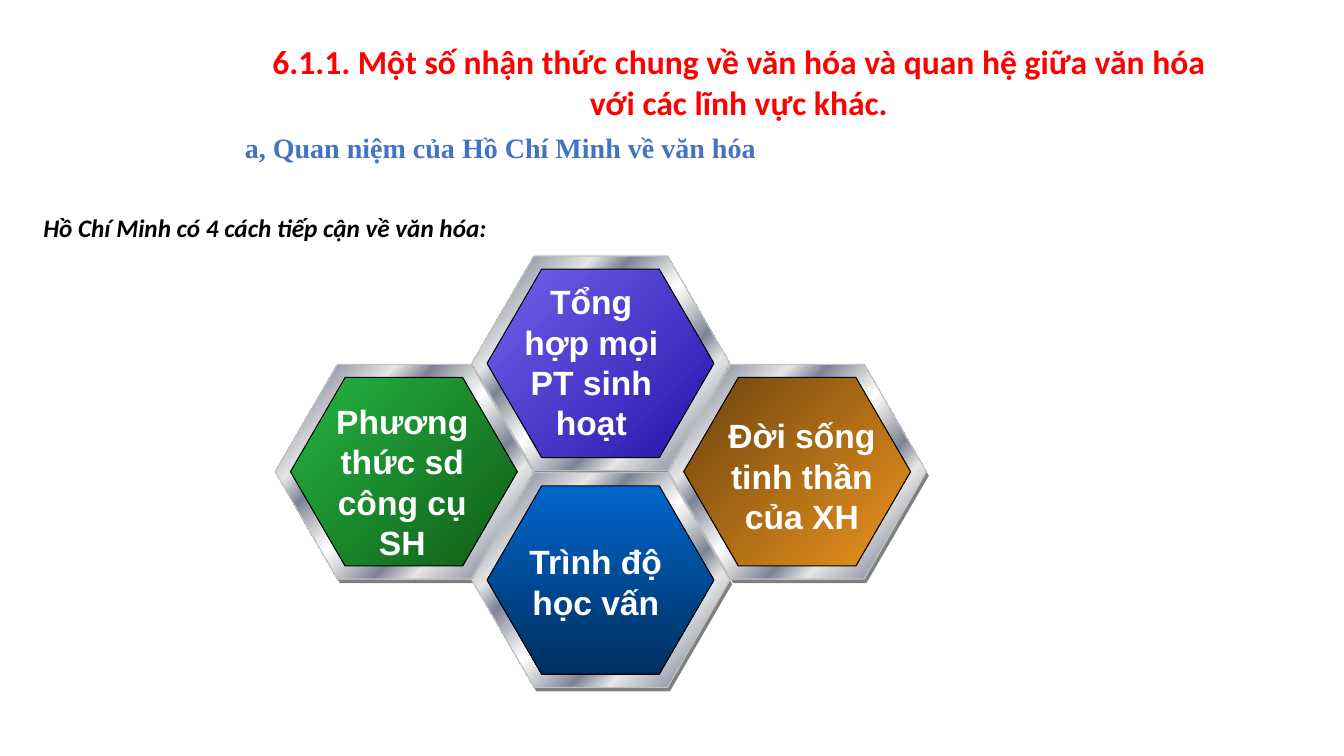
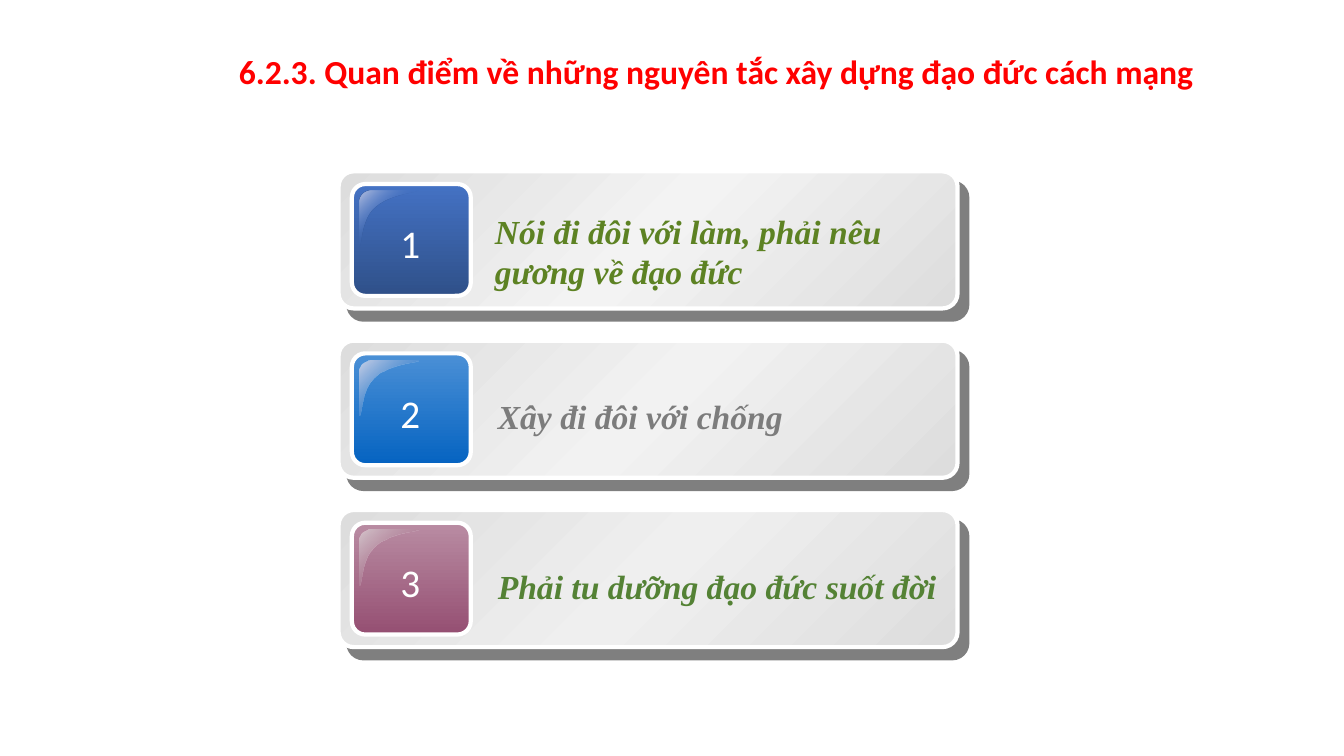
from dataclasses import dataclass

from pptx import Presentation
from pptx import util as u
from pptx.dml.color import RGBColor
from pptx.enum import shapes, text
from pptx.oxml.ns import qn
from lxml import etree


@dataclass(frozen=True)
class Theme:
    sans: str = "Calibri"
    serif: str = "Times New Roman"
    label: str = "Arial"
    red: str = "FF0000"
    blue: str = "4472C4"
    black: str = "000000"
    white: str = "FFFFFF"
    shade: str = "808080"
    rim: str = "C0C0C0"
    silver: str = "DDDDDD"
    heading: int = 24
    subheading: int = 20
    lead: int = 18
    number: int = 28


theme = Theme()
deck = Presentation()
deck.slide_width, deck.slide_height = u.Emu(12192000), u.Emu(6858000)
col, row = deck.slide_width / 100, deck.slide_height / 100


def draw(slide, outline, box, stops, angle=45, edge=None, adjust=None):
    x, y, w, h = [round(n * unit) for n, unit in zip(box, (col, row, col, row))]
    if isinstance(outline, list):
        points = [(round(x + px * w), round(y + py * h)) for px, py in outline]
        builder = slide.shapes.build_freeform(*points[0])
        builder.add_line_segments(points[1:], close=True)
        shape = builder.convert_to_shape()
    else:
        shape = slide.shapes.add_shape(outline, x, y, w, h)
        shape.adjustments[0] = adjust
    shape.shadow.inherit = False
    if len(stops) == 1:
        shape.fill.solid()
        shape.fill.fore_color.rgb = RGBColor.from_string(stops[0][1])
    else:
        shape.fill.gradient()
        gradient = shape.element.spPr.find(qn("a:gradFill"))
        for part in list(gradient):
            gradient.remove(part)
        ramp = etree.SubElement(gradient, qn("a:gsLst"))
        for position, color, *alpha in stops:
            stop = etree.SubElement(ramp, qn("a:gs"), pos=str(position * 1000))
            tone = etree.SubElement(stop, qn("a:srgbClr"), val=color)
            for share in alpha:
                etree.SubElement(tone, qn("a:alpha"), val=str(share * 1000))
        etree.SubElement(gradient, qn("a:lin"), ang=str(angle * 60000), scaled="0")
    if edge:
        shape.line.color.rgb = RGBColor.from_string(edge[0])
        shape.line.width = u.Pt(edge[1])
    else:
        shape.line.fill.background()
    return shape


def write(slide, box, words, font, size, color, bold=True, italic=False, center=False):
    x, y, w, h = [round(n * unit) for n, unit in zip(box, (col, row, col, row))]
    frame = slide.shapes.add_textbox(x, y, w, h).text_frame
    frame.word_wrap = True
    paragraph = frame.paragraphs[0]
    paragraph.text = words
    paragraph.alignment = text.PP_ALIGN.CENTER if center else text.PP_ALIGN.LEFT
    paragraph.font.name, paragraph.font.size = font, u.Pt(size)
    paragraph.font.bold, paragraph.font.italic = bold, italic
    paragraph.font.color.rgb = RGBColor.from_string(color)


blank = deck.slide_layouts[6]

culture = deck.slides.add_slide(blank)
write(culture, (2.48, 27.47, 35.78, 5.33), "Hồ Chí Minh có 4 cách tiếp cận về văn hóa:",
      theme.sans, theme.lead, theme.black, italic=True)
write(culture, (18.23, 4.8, 73.5, 12.13),
      "6.1.1. Một số nhận thức chung về văn hóa và quan hệ giữa văn hóa với các lĩnh vực khác.",
      theme.sans, theme.heading, theme.red, center=True)
write(culture, (17.48, 16.67, 41.25, 5.87), "a, Quan niệm của Hồ Chí Minh về văn hóa",
      theme.serif, theme.subheading, theme.blue)

light, steel = "E6E6E6", "7D8496"
metal = [(0, light), (8, steel), (26, light), (34, steel), (46, light), (50, theme.white),
         (54, light), (66, steel), (74, light), (92, steel), (100, light)]
approaches = [
    (1, 0, "7262EC", "2614AA", 45, (37.88, 36.53, 12.23, 22.93), "Tổng hợp mọi PT sinh hoạt"),
    (0, 1, "24B443", "115D16", 45, (23.03, 52.4, 13.8, 22.93), "Phương thức sd công cụ SH"),
    (2, 1, "6D440E", "EC941E", 45, (53.33, 54.27, 12.68, 17.47), "Đời sống tinh thần của XH"),
    (1, 2, "0066CC", "002F5E", 90, (37.8, 70.93, 13.05, 12.13), "Trình độ học vấn"),
]
for across, down, start, end, angle, label_box, words in approaches:
    x, y = 20.48 + across * 14.63, 33.87 + down * 14.33
    layers = [
        (0.17, 0.53, 19.2, 28.4, [(0, theme.shade)], 45, None),
        (0, 0, 19.2, 28.4, metal, 45, (theme.rim, 0.75)),
        (1.13, 1.73, 16.88, 24.93, [(0, start), (100, end)], angle, (theme.black, 0.75)),
    ]
    for dx, dy, w, h, stops, turn, edge in layers:
        draw(culture, shapes.MSO_SHAPE.HEXAGON, (x + dx, y + dy, w, h), stops, turn, edge, 0.29)
    write(culture, label_box, words, theme.label, theme.heading, theme.white, center=True)

ethics = deck.slides.add_slide(blank)
write(ethics, (17.03, 6.1, 76.35, 10.27),
      "6.2.3. Quan điểm về những nguyên tắc xây dựng đạo đức cách mạng",
      theme.sans, theme.heading, theme.red)

curves = [
    ((0.2, 0), (0.09, 0), (0, 0.09), (0, 0.2)),
    ((0, 0.98), (0.05, 0.98), (0.02, 0.5), (0.27, 0.29)),
    ((0.27, 0.29), (0.53, 0.05), (1, 0.04), (0.98, 0)),
]
steps = 12
gloss = [
    tuple((1 - t) ** 3 * a + 3 * (1 - t) ** 2 * t * b + 3 * (1 - t) * t ** 2 * c + t ** 3 * d
          for a, b, c, d in zip(*curve))
    for curve in curves for t in [step / steps for step in range(steps + 1)]
]
principles = [
    ("F3F3F3", theme.blue, "2F5089", [(0, "B9C3E1"), (50, theme.blue, 0), (100, "B9C3E1")],
     (36.08, 4.53, 33.83, 12.13), "Nói đi đôi với làm, phải nêu gương về đạo đức", "5D8223"),
    ("F2F2F2", "4B90D6", "0563C1", [(0, "C9D0E7"), (100, "0563C1", 0)],
     (36.3, 6.67, 33.83, 6.67), "Xây đi đôi với chống", "7C7C7C"),
    ("EFEFEF", "B98CA3", "954F72", [(0, "D4C4CB"), (100, "954F72", 0)],
     (36.3, 6.67, 35.7, 6.67), "Phải tu dưỡng đạo đức suốt đời", "548235"),
]
left, border = 25.2, (theme.white, 3)
for index, (sheen, start, end, shine, words_box, words, color) in enumerate(principles):
    top = 22.67 + index * 22.4
    card = draw(ethics, shapes.MSO_SHAPE.ROUNDED_RECTANGLE, (left, top, 46.05, 18.13),
                [(0, theme.silver), (50, sheen), (100, theme.silver)], 45, border, 0.11)
    shadow = etree.SubElement(card.element.spPr.find(qn("a:effectLst")), qn("a:outerShdw"),
                              dist=str(u.Pt(10.6)), dir=str(49 * 60000), algn="ctr", rotWithShape="0")
    tone = etree.SubElement(shadow, qn("a:srgbClr"), val=theme.black)
    etree.SubElement(tone, qn("a:alpha"), val="50000")
    draw(ethics, shapes.MSO_SHAPE.ROUNDED_RECTANGLE, (left + 0.98, top + 1.67, 8.85, 14.8),
         [(0, start), (100, end)], 90, border, 0.12)
    draw(ethics, gloss, (left + 1.58, top + 2.6, 4.43, 7.47), shine)
    write(ethics, (left + 3.75, top + 5.73, 3.15, 7.6), str(index + 1),
          theme.sans, theme.number, theme.white, bold=False, center=True)
    x, dy, w, h = words_box
    write(ethics, (x, top + dy, w, h), words, theme.serif, theme.heading, color, italic=True)

deck.save("out.pptx")
